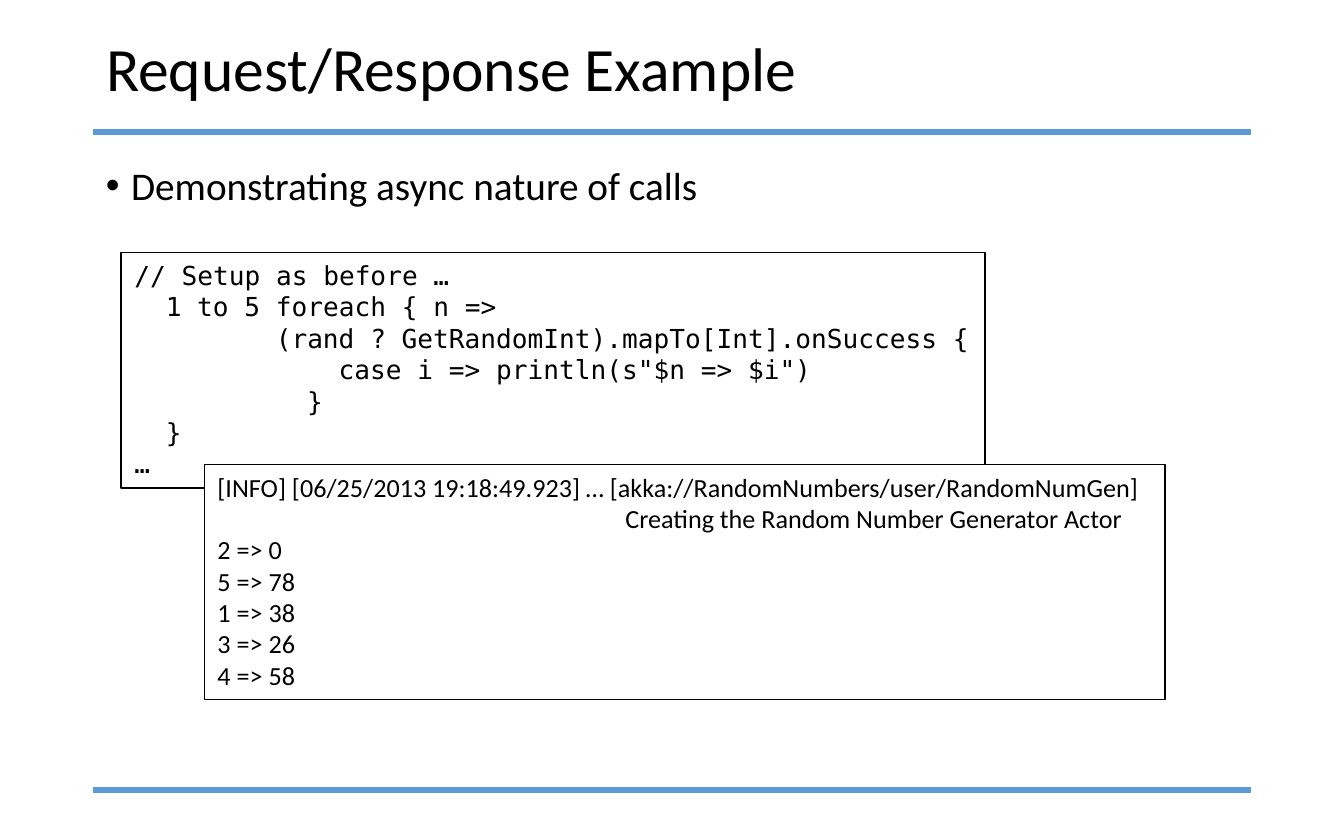
import pptx
import pptx.dml.color
import pptx.enum.shapes
import pptx.enum.text
import pptx.oxml
import pptx.oxml.ns
import pptx.util

Cm = pptx.util.Cm
Pt = pptx.util.Pt
BLACK = pptx.dml.color.RGBColor(0x00, 0x00, 0x00)
WHITE = pptx.dml.color.RGBColor(0xFF, 0xFF, 0xFF)
BLUE = pptx.dml.color.RGBColor(0x5B, 0x9B, 0xD5)
CODE_COLUMN = 0.297  # width of one code character in cm


def add_text(paragraph, text, size, font_name):
    run = paragraph.add_run()
    run.text = text
    run.font.size = Pt(size)
    run.font.name = font_name
    run.font.color.rgb = BLACK
    paragraph.alignment = pptx.enum.text.PP_ALIGN.LEFT


def add_listing(left, top, width, height, font_name, lines):
    """Add a framed box of lines, each given as (indent in cm, text)."""
    box = slide.shapes.add_textbox(Cm(left), Cm(top), Cm(width), Cm(height))
    box.fill.solid()
    box.fill.fore_color.rgb = WHITE
    box.line.color.rgb = BLACK
    box.line.width = Pt(0.75)
    frame = box.text_frame
    frame.word_wrap = True
    for index, (indent, text) in enumerate(lines):
        paragraph = frame.add_paragraph() if index else frame.paragraphs[0]
        add_text(paragraph, text, 14, font_name)
        paragraph._p.get_or_add_pPr().set("marL", str(Cm(indent)))


presentation = pptx.Presentation()
presentation.slide_width = Cm(25.4)
presentation.slide_height = Cm(15.88)
slide = presentation.slides.add_slide(presentation.slide_layouts[5])

# Rules above and below the content
for rule_top in (2.49, 14.94):
    rule = slide.shapes.add_connector(
        pptx.enum.shapes.MSO_CONNECTOR.STRAIGHT,
        Cm(1.75), Cm(rule_top), Cm(23.65), Cm(rule_top))
    rule.line.color.rgb = BLUE
    rule.line.width = Pt(3)
    rule._element.spPr.append(pptx.oxml.parse_xml(
        "<a:effectLst %s/>" % pptx.oxml.ns.nsdecls("a")))

# Title
title = slide.shapes.title
title.left, title.top = Cm(1.75), Cm(0.46)
title.width, title.height = Cm(21.9), Cm(1.78)
title.text_frame.vertical_anchor = pptx.enum.text.MSO_ANCHOR.MIDDLE
title.text_frame.auto_size = pptx.enum.text.MSO_AUTO_SIZE.NONE
heading = title.text_frame.paragraphs[0]
heading.line_spacing = 0.9
add_text(heading, "Request/Response Example", 33, "Calibri")

# Bullet
body = slide.shapes.add_textbox(Cm(1.75), Cm(3.02), Cm(19.4), Cm(1.42))
body.text_frame.word_wrap = True
bullet = body.text_frame.paragraphs[0]
bullet.line_spacing = 0.9
add_text(bullet, "Demonstrating async nature of calls", 21, "Calibri")
properties = bullet._p.get_or_add_pPr()
properties.set("marL", str(Cm(0.48)))
properties.set("indent", str(-Cm(0.48)))
for tag in ('a:buFont %s typeface="Arial"', 'a:buChar %s char="•"'):
    properties.append(pptx.oxml.parse_xml(
        "<" + tag % pptx.oxml.ns.nsdecls("a") + "/>"))

# Code listing, indented by character columns
code_lines = [
    (0, "// Setup as before …"),
    (2, "1 to 5 foreach { n =>"),
    (9, "(rand ? GetRandomInt).mapTo[Int].onSuccess {"),
    (13, 'case i => println(s"$n => $i")'),
    (11, "}"),
    (2, "}"),
    (0, "…"),
]
add_listing(2.29, 4.78, 16.33, 4.45, "DejaVu Sans Mono",
            [(columns * CODE_COLUMN, text) for columns, text in code_lines])

# Program output
results = [(2, 0), (5, 78), (1, 38), (3, 26), (4, 58)]
output_lines = [
    (0, "[INFO] [06/25/2013 19:18:49.923] … [akka://RandomNumbers/user/RandomNumGen]"),
    (7.71, "Creating the Random Number Generator Actor"),
]
output_lines += [(0, f"{call} => {value}") for call, value in results]
add_listing(3.86, 8.78, 18.16, 4.45, "Calibri", output_lines)

presentation.save("out.pptx")
